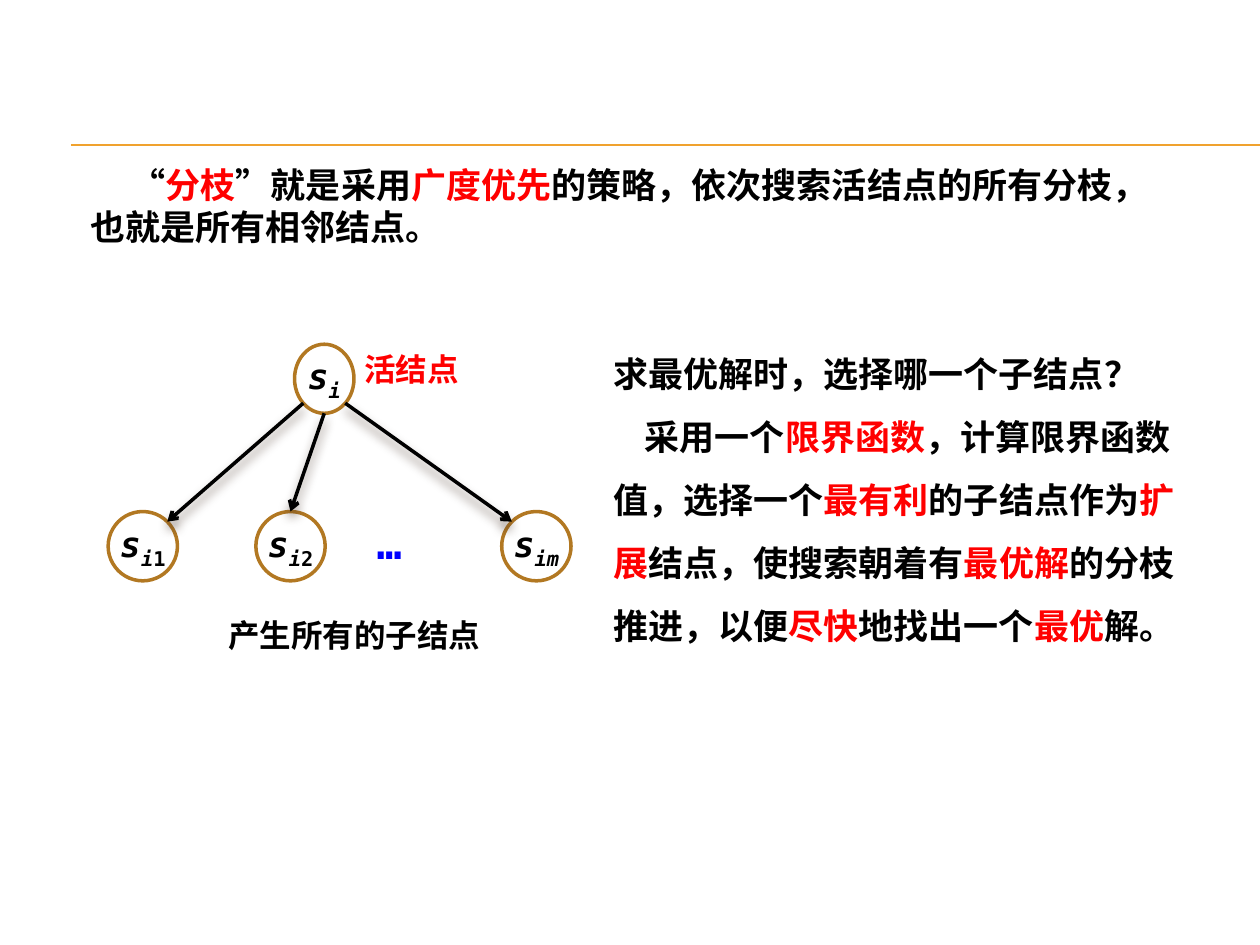
"""Build the slide about branching and bounding functions."""
import lxml.etree
import pptx
import pptx.dml.color
import pptx.enum.shapes
import pptx.enum.text
import pptx.oxml
import pptx.oxml.ns
import pptx.util

Pt = pptx.util.Pt
Shape = pptx.enum.shapes.MSO_SHAPE
Align = pptx.enum.text.PP_ALIGN
Anchor = pptx.enum.text.MSO_ANCHOR
qn = pptx.oxml.ns.qn

BLACK, RED, BLUE, WHITE = "000000", "FF0000", "0000FF", "FFFFFF"
GOLD, BROWN, SHADOW = "F0A22E", "B27822", "4E3B30"


def color(value):
    return pptx.dml.color.RGBColor.from_string(value)


def write_paragraph(paragraph, runs, size, paragraph_format):
    for name, value in paragraph_format.items():
        setattr(paragraph, name, value)
    for text, run_color, italic, baseline in runs:
        run = paragraph.add_run()
        run.text = text
        font_format = {"name": "DejaVu Sans Mono", "size": Pt(size), "bold": True, "italic": italic}
        for name, value in font_format.items():
            setattr(run.font, name, value)
        run.font.color.rgb = color(run_color)
        if baseline:
            run.font._element.set("baseline", str(baseline * 1000))


presentation = pptx.Presentation()
presentation.slide_width, presentation.slide_height = Pt(720), Pt(540)
slide = presentation.slides.add_slide(presentation.slide_layouts[6])

prose = [
    ((44.6, 90, 630, 55.4), 1, [
        (23, "“|分枝|”就是采用|广度优先|的策略，依次搜索活结点的所有分枝，也就是所有相邻结点。"),
    ]),
    ((343.4, 185.8, 348.5, 189.4), 1.5, [
        (0, "求最优解时，选择哪一个子结点？"),
        (18, "采用一个|限界函数|，计算限界函数值，选择一个|最有利|的子结点作为|扩展|结点，"
             "使搜索朝着有|最优解|的分枝推进，以便|尽快|地找出一个|最优|解。"),
    ]),
]
for box, spacing, paragraphs in prose:
    frame = slide.shapes.add_textbox(*map(Pt, box)).text_frame
    frame.word_wrap = True
    for index, (indent, text) in enumerate(paragraphs):
        paragraph = frame.add_paragraph() if index else frame.paragraphs[0]
        runs = [(part, (BLACK, RED)[position % 2], False, 0)
                for position, part in enumerate(text.split("|"))]
        write_paragraph(paragraph, runs, 20, {"line_spacing": spacing})
        paragraph._p.get_or_add_pPr().set("indent", str(Pt(indent)))

nodes = [
    ((168.3, 196.7, 34, 39.5), "i", ""),
    ((61.8, 292.3, 39.6, 39.6), "i", "1"),
    ((146.2, 292.3, 39.6, 39.6), "i", "2"),
    ((286.7, 292.3, 39.6, 39.6), "im", ""),
]
labels = [
    ((208.1, 292.3, 56, 36), "…", 24, BLUE, Align.LEFT, 7.2),
    ((208.1, 196.7, 73.5, 28.8), "活结点", 18, RED, Align.LEFT, 0),
    ((106.6, 348.5, 191.5, 28.8), "产生所有的子结点", 18, BLACK, Align.CENTER, 0),
]
items = [
    (Shape.OVAL, box, [("s", BLACK, True, 0), (letters, BLACK, True, -25)]
     + ([(digit, BLACK, False, -25)] if digit else []), 20, Align.CENTER, 0, Anchor.MIDDLE)
    for box, letters, digit in nodes
] + [
    (Shape.RECTANGLE, box, [(text, text_color, False, 0)], size, alignment, margin, Anchor.TOP)
    for box, text, size, text_color, alignment, margin in labels
]
for kind, box, runs, size, alignment, margin, anchor in items:
    shape = slide.shapes.add_shape(kind, *map(Pt, box))
    shape.shadow.inherit = False
    shape.fill.solid()
    shape.fill.fore_color.rgb = color(WHITE)
    if kind == Shape.OVAL:
        shape.line.color.rgb = color(BROWN)
        shape.line.width = Pt(2)
    else:
        shape.line.fill.background()
    frame_format = {"margin_left": Pt(margin), "margin_right": Pt(margin),
                    "vertical_anchor": anchor, "word_wrap": True}
    for name, value in frame_format.items():
        setattr(shape.text_frame, name, value)
    write_paragraph(shape.text_frame.paragraphs[0], runs, size, {"alignment": alignment})

connectors = [
    ((40.5, 82.8, 720, 82.8), GOLD, 0.75, False),
    ((40.5, 83.3, 720, 83.3), GOLD, 0.75, False),
    ((173.3, 230.4, 95.6, 298.1), BLACK, 2, True),
    ((185.3, 236.2, 166, 292.3), BLACK, 2, True),
    ((197.3, 230.4, 292.5, 298.1), BLACK, 2, True),
]
for ends, line_color, width, is_arrow in connectors:
    connector = slide.shapes.add_connector(
        pptx.enum.shapes.MSO_CONNECTOR.STRAIGHT, *map(Pt, ends))
    connector.line.color.rgb = color(line_color)
    connector.line.width = Pt(width)
    effects = lxml.etree.SubElement(connector._element.spPr, qn("a:effectLst"))
    if is_arrow:
        lxml.etree.SubElement(connector.line._get_or_add_ln(), qn("a:tailEnd"), type="arrow")
        shadow = lxml.etree.SubElement(
            effects, qn("a:outerShdw"), blurRad=str(Pt(6)), dist=str(Pt(4)),
            dir="5400000", rotWithShape="0")
        tint = lxml.etree.SubElement(shadow, qn("a:srgbClr"), val=SHADOW)
        lxml.etree.SubElement(tint, qn("a:alpha"), val="60000")

presentation.save("out.pptx")
